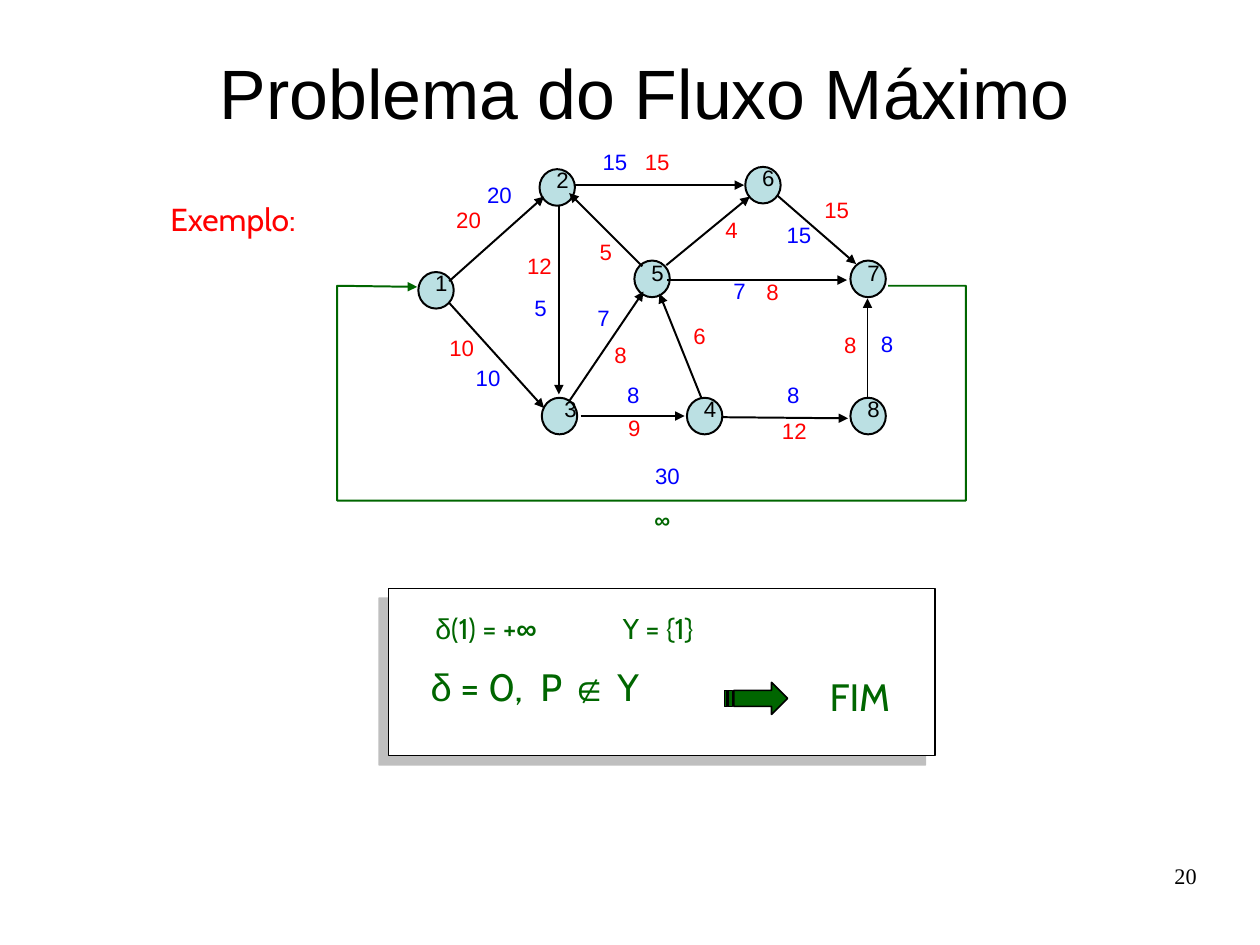
from dataclasses import dataclass

from lxml import etree
from pptx import Presentation
from pptx.dml.color import RGBColor
from pptx.enum.shapes import MSO_CONNECTOR, MSO_SHAPE
from pptx.enum.text import MSO_ANCHOR, PP_ALIGN
from pptx.oxml.ns import qn
from pptx.util import Cm, Pt

PX = 9144
LEFT, MID, RIGHT = PP_ALIGN.LEFT, PP_ALIGN.CENTER, PP_ALIGN.RIGHT
TOP, CORE = MSO_ANCHOR.TOP, MSO_ANCHOR.MIDDLE
OVAL, RECT = MSO_SHAPE.OVAL, MSO_SHAPE.RECTANGLE
STRAIGHT = MSO_CONNECTOR.STRAIGHT


@dataclass(frozen=True)
class Theme:
    black: str = "000000"
    white: str = "FFFFFF"
    red: str = "FF0000"
    blue: str = "0000FF"
    green: str = "006600"
    node: str = "BBE0E3"
    shade: str = "808080"
    sans: str = "Arial"
    soft: str = "Cabin"
    serif: str = "Times New Roman"
    title: int = 44
    large: int = 24
    head: int = 20
    body: int = 18
    small: int = 14
    edge: float = 1.25
    thin: float = 1


T = Theme()

NODES = {
    "1": (71, 109), "2": (177, 19), "3": (179, 219), "4": (306, 219),
    "5": (260, 99), "6": (357, 17), "7": (449, 99), "8": (449, 219),
}
EDGES = [
    (267, 104, 203, 40), (98, 117, 181, 43), (98, 136, 181, 228),
    (213, 235, 304, 235), (337, 236, 447, 237), (289, 116, 446, 116),
    (208, 33, 356, 33), (194, 51, 194, 216), (464, 219, 464, 132),
    (319, 220, 282, 128), (203, 222, 268, 126), (288, 103, 361, 43),
    (385, 42, 454, 102),
]
LIMITS = [
    ("10", 86, 163), ("20", 92, 51), ("12", 154, 91), ("8", 231, 169),
    ("9", 243, 233), ("12", 377, 235), ("6", 300, 152), ("8", 364, 114),
    ("8", 432, 160), ("15", 414, 42), ("4", 328, 60), ("5", 218, 79),
    ("15", 257, 0),
]
FLOWS = [
    ("7", 335, 113), ("7", 216, 137), ("10", 109, 189), ("30", 266, 275),
    ("20", 119, 29), ("15", 220, 0), ("15", 381, 64), ("8", 242, 204),
    ("8", 382, 204), ("8", 464, 159), ("5", 161, 128),
]
LOOP = [(482, 121), (550, 121), (550, 309), (0, 309), (0, 121), (70, 122)]
HEAD = [(8, 7), (41, 7), (41, 0), (55, 14), (41, 28), (41, 21), (8, 21)]
BARS = [[(x, 7), (end, 7), (end, 21), (x, 21)] for x, end in ((0, 2), (3, 7))]


def scale(*sizes):
    return [size * PX for size in sizes]


def color(code):
    return RGBColor.from_string(code)


def write(slide, box, text, font=T.sans, size=T.small, ink=T.black, bold=False,
          align=LEFT, anchor=TOP, space=1.01, pad=(10, 5, 10, 5), tab=None):
    frame = slide.shapes.add_textbox(*scale(*box)).text_frame
    frame.word_wrap = True
    frame.vertical_anchor = anchor
    (frame.margin_left, frame.margin_top,
     frame.margin_right, frame.margin_bottom) = scale(*pad)
    para = frame.paragraphs[0]
    para.alignment = align
    para.line_spacing = space
    if tab:
        stops = etree.SubElement(para._p.get_or_add_pPr(), qn("a:tabLst"))
        etree.SubElement(stops, qn("a:tab"), pos=str(tab * PX), algn="l")
    parts = [(text, font, bold)] if isinstance(text, str) else text
    for words, face, heavy in parts:
        run = para.add_run()
        run.text = words
        run.font.name = face
        run.font.size = Pt(size)
        run.font.bold = heavy
        run.font.color.rgb = color(ink)


def label(slide, text, x, y, ink, align=MID):
    write(slide, (x, y, 22 + 12 * len(text), 31), text, ink=ink, align=align,
          space=0.54, pad=(10, 10, 10, 5))


def stroke(item, ink, width):
    item.line.color.rgb = color(ink)
    item.line.width = Pt(width)


def point(item):
    line = item._element.spPr.find(qn("a:ln"))
    etree.SubElement(line, qn("a:tailEnd"), type="triangle")


def paint(item, fill, width):
    item.shadow.inherit = False
    item.fill.solid()
    item.fill.fore_color.rgb = color(fill)
    stroke(item, T.black, width)


def shape(slide, kind, box, fill, width):
    item = slide.shapes.add_shape(kind, *scale(*box))
    paint(item, fill, width)
    return item


def trace(slide, left, top, paths, close):
    pen = None
    for path in paths:
        dots = [(left + x, top + y) for x, y in path]
        if pen:
            pen.move_to(*dots[0])
        else:
            pen = slide.shapes.build_freeform(*dots[0], scale=PX)
        pen.add_line_segments(dots[1:], close=close)
    return pen.convert_to_shape()


def arrow(slide, ends):
    item = slide.shapes.add_connector(STRAIGHT, *scale(*ends))
    stroke(item, T.black, T.edge)
    etree.SubElement(item._element.spPr, qn("a:effectLst"))
    point(item)


def graph(slide, box):
    left, top, wide, high = box
    loop = trace(slide, left, top, [LOOP], False)
    loop.shadow.inherit = False
    loop.fill.background()
    stroke(loop, T.green, T.edge)
    point(loop)
    for name, (x, y) in NODES.items():
        x, y = left + x, top + y
        shape(slide, OVAL, (x, y, 31, 32), T.node, T.edge)
        shift = 10 if name == "3" else 5
        rise = 2 if name in "57" else 3
        label(slide, name, x + shift, y - rise, T.black, LEFT)
    for x, y, end, foot in EDGES:
        arrow(slide, (left + x, top + y, left + end, top + foot))
    for ink, marks in ((T.red, LIMITS), (T.blue, FLOWS)):
        for text, x, y in marks:
            label(slide, text, left + x, top + y, ink)
    write(slide, (left + 266, top + high - 28, 37, 28), "∞", ink=T.green,
          bold=True, align=MID)


def panel(slide, box):
    left, top, wide, high = box
    card = shape(slide, RECT, box, T.white, T.thin)
    glow = etree.SubElement(
        card._element.spPr.find(qn("a:effectLst")), qn("a:outerShdw"),
        blurRad="0", dist=str(Pt(8.5)), dir="8100000", algn="ctr",
        rotWithShape="0")
    tint = etree.SubElement(glow, qn("a:srgbClr"), val=T.shade)
    etree.SubElement(tint, qn("a:alpha"), val="50000")
    start = [("δ", T.sans, False), ("(1) = +", T.soft, False),
             ("∞", T.sans, True)]
    final = [("δ", T.sans, False), (" = 0,\tP ", T.soft, False),
             ("∉", T.sans, False), (" Y", T.soft, False)]
    write(slide, (left + 31, top + 14, 165, 49), start, size=T.body, ink=T.green)
    write(slide, (left + 195, top + 14, 221, 49), "Y = {1}", font=T.soft,
          size=T.body, ink=T.green)
    write(slide, (left + 27, top + 60, 248, 49), final, size=T.large,
          ink=T.green, tab=96)
    paint(trace(slide, left + 294, top + 82, [HEAD, *BARS], True),
          T.green, T.thin)
    write(slide, (left + 376, top + 69, 101, 49), "FIM", font=T.soft,
          size=T.large, ink=T.green)


def frame(slide, box):
    left, top, wide, high = box
    write(slide, (left + 174, top, 781, 168), "Problema do Fluxo Máximo",
          size=T.title, align=MID, anchor=CORE, space=0.93)
    write(slide, (left + 101, top + 165, 211, 55), "Exemplo:", font=T.soft,
          size=T.head, ink=T.red, pad=(48, 9, 10, 9))
    write(slide, (left + wide - 312, top + high - 73, 257, 57), "20",
          font=T.serif, align=RIGHT, space=1.0, pad=(0, 0, 0, 0))


def main():
    deck = Presentation()
    deck.slide_width, deck.slide_height = Cm(28), Cm(21)
    slide = deck.slides.add_slide(deck.slide_layouts[6])
    frame(slide, (0, 0, 1102, 827))
    graph(slide, (295, 129, 550, 337))
    panel(slide, (340, 515, 478, 146))
    deck.save("out.pptx")


if __name__ == "__main__":
    main()
